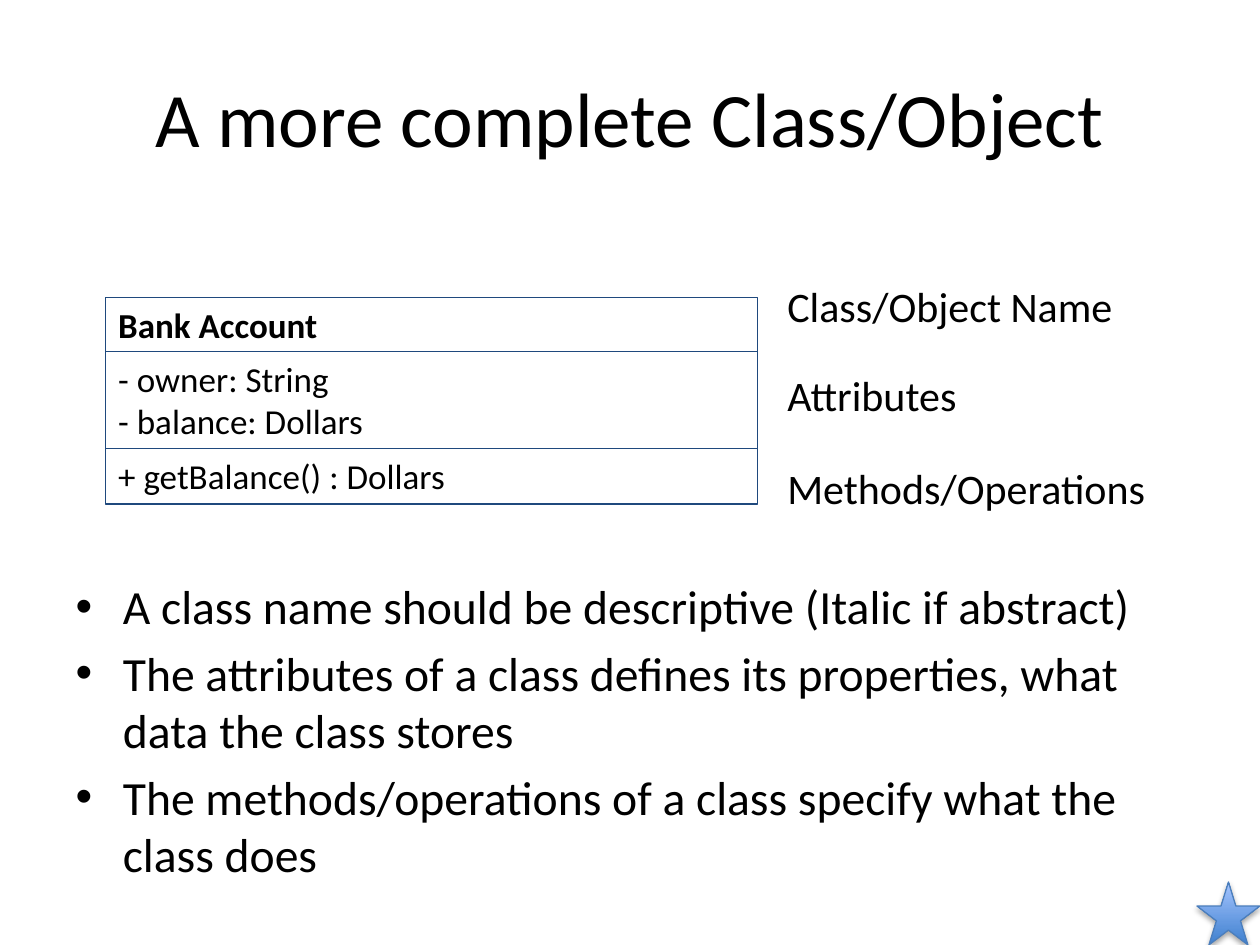
from dataclasses import dataclass

from pptx import Presentation
from pptx import util as u
from pptx.dml.color import RGBColor
from pptx.enum import shapes, text

INK, NAVY, WHITE = "000000", "1F497D", "FFFFFF"


@dataclass
class Row:
    """One compartment of the class box."""
    top: float
    high: float
    lines: list[str]
    bold: bool = False


@dataclass
class Label:
    words: str
    gap: float  # points above


ROWS = [
    Row(2.36, 0.44, ["Bank Account"], True),
    Row(2.79, 0.77, ["- owner: String", "- balance: Dollars"]),
    Row(3.56, 0.44, ["+ getBalance() : Dollars"]),
]
LABELS = [
    Label("Class/Object Name", 0),
    Label("Attributes", 22),
    Label("Methods/Operations", 24.4),
]
POINTS = [
    "A class name should be descriptive (Italic if abstract)",
    "The attributes of a class defines its properties, what data the class stores",
    "The methods/operations of a class specify what the class does",
]


def rgb(code: str) -> RGBColor:
    return RGBColor.from_string(code)


def place(shape, left: float, top: float, wide: float, high: float) -> None:
    shape.left, shape.top = u.Inches(left), u.Inches(top)
    shape.width, shape.height = u.Inches(wide), u.Inches(high)


def write(frame, lines: list[str], size: float, bold: bool = False) -> None:
    """Fill a text frame, one run to a paragraph."""
    for i, line in enumerate(lines):
        para = frame.paragraphs[0] if i == 0 else frame.add_paragraph()
        run = para.add_run()
        run.text = line
        run.font.name = "Calibri"
        run.font.size = u.Pt(size)
        run.font.bold = bold
        run.font.color.rgb = rgb(INK)


def draw_row(slide, row: Row) -> None:
    box = slide.shapes.add_shape(
        shapes.MSO_SHAPE.RECTANGLE, u.Inches(0.84), u.Inches(row.top),
        u.Inches(5.17), u.Inches(row.high))
    box.shadow.inherit = False
    box.fill.solid()
    box.fill.fore_color.rgb = rgb(WHITE)
    box.line.color.rgb = rgb(NAVY)
    box.line.width = u.Pt(0.75)
    frame = box.text_frame
    frame.vertical_anchor = text.MSO_ANCHOR.TOP
    write(frame, row.lines, 20, row.bold)
    for para in frame.paragraphs:
        para.alignment = text.PP_ALIGN.LEFT


def draw_labels(slide, labels: list[Label]) -> None:
    box = slide.shapes.add_textbox(
        u.Inches(6.15), u.Inches(2.18), u.Inches(3.08), u.Inches(2.36))
    frame = box.text_frame
    frame.word_wrap = False
    write(frame, [label.words for label in labels], 24)
    for para, label in zip(frame.paragraphs, labels):
        para.space_before = u.Pt(label.gap)


def draw_star(slide) -> None:
    # The theme's soft shadow is kept
    star = slide.shapes.add_shape(
        shapes.MSO_SHAPE.STAR_5_POINT, u.Inches(9.5), u.Inches(7),
        u.Inches(0.5), u.Inches(0.5))
    star.fill.gradient()
    star.fill.gradient_angle = 90
    for stop, code in zip(star.fill.gradient_stops, ("3F80CE", "A4C4FF")):
        stop.color.rgb = rgb(code)
    star.line.color.rgb = rgb("4B7EBC")
    star.line.width = u.Pt(0.75)


def main() -> None:
    deck = Presentation()
    deck.slide_width, deck.slide_height = u.Inches(10), u.Inches(7.5)
    slide = deck.slides.add_slide(deck.slide_layouts[1])

    # Title
    title = slide.shapes.title
    place(title, 0.5, 0.3, 9, 1.25)
    write(title.text_frame, ["A more complete Class/Object"], 44)

    # Class box and its labels
    draw_labels(slide, LABELS)
    for row in ROWS:
        draw_row(slide, row)

    # Bullet list
    body = slide.placeholders[1]
    place(body, 0.5, 4.53, 9, 2.17)
    body.text_frame.auto_size = text.MSO_AUTO_SIZE.NONE
    write(body.text_frame, POINTS, 27.2)

    # Corner star
    draw_star(slide)
    deck.save("out.pptx")


if __name__ == "__main__":
    main()
